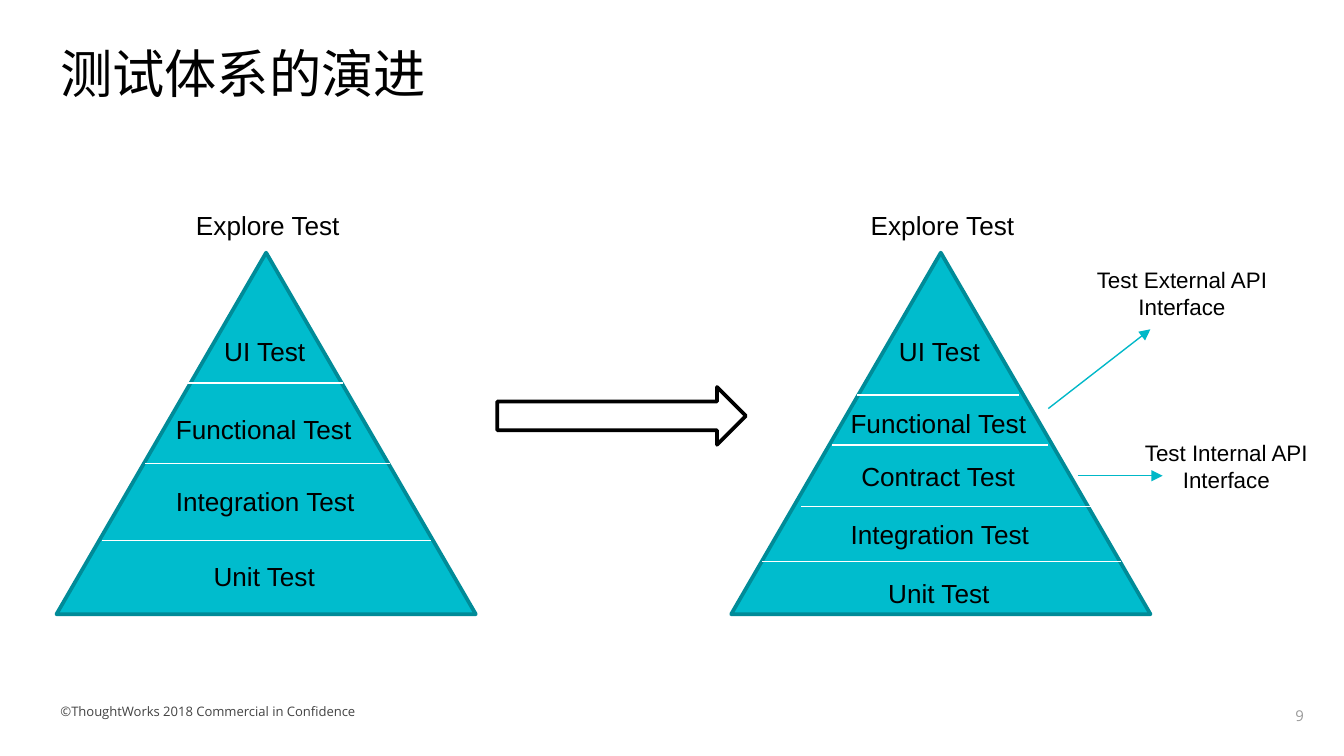
import pptx
import pptx.util
from lxml import etree
from pptx.dml.color import RGBColor
from pptx.enum.shapes import MSO_CONNECTOR, MSO_SHAPE
from pptx.enum.text import MSO_ANCHOR, MSO_AUTO_SIZE, PP_ALIGN
from pptx.oxml.ns import qn
from pptx.util import Inches

BLACK = RGBColor(0x00, 0x00, 0x00)
WHITE = RGBColor(0xFF, 0xFF, 0xFF)
TEAL = RGBColor(0x00, 0xBC, 0xCD)
DARK_TEAL = RGBColor(0x00, 0x8B, 0x98)
ARROW_TEAL = RGBColor(0x00, 0xB8, 0xC8)
GREY = RGBColor(0x99, 0x99, 0x99)
DARK_GREY = RGBColor(0x43, 0x43, 0x43)

# Each test level: offset from the pyramid's left edge, label width
LEVELS = {
    "Explore Test": (0.94, 1.55),
    "UI Test": (1.15, 0.99),
    "Functional Test": (0.79, 1.55),
    "Contract Test": (0.87, 1.38),
    "Integration Test": (0.79, 1.55),
    "Unit Test": (1.07, 0.99),
}


class TestPyramidSlide:
    HEADING_FONT = "Open Sans"
    BODY_FONT = "Arial"

    def __init__(self, deck):
        self.slide = deck.slides.add_slide(deck.slide_layouts[6])

    def text(self, words, left, top, width, height, size=14, font=BODY_FONT,
             color=BLACK, align=PP_ALIGN.LEFT, anchor=MSO_ANCHOR.TOP,
             insets=(0.1, 0.05), fit=MSO_AUTO_SIZE.SHAPE_TO_FIT_TEXT):
        box = self.slide.shapes.add_textbox(
            Inches(left), Inches(top), Inches(width), Inches(height))
        side, end = map(Inches, insets)
        frame_format = {
            "word_wrap": True, "auto_size": fit, "vertical_anchor": anchor,
            "margin_left": side, "margin_right": side,
            "margin_top": end, "margin_bottom": end,
        }
        for name, value in frame_format.items():
            setattr(box.text_frame, name, value)
        paragraph = box.text_frame.paragraphs[0]
        paragraph.alignment = align
        run = paragraph.add_run()
        run.text = words
        for name, value in {"size": pptx.util.Pt(size), "name": font}.items():
            setattr(run.font, name, value)
        run.font.color.rgb = color

    def heading_text(self, words, *place, insets=(0, 0), **style):
        """Text in the heading font, in a box that keeps its size."""
        self.text(words, *place, font=self.HEADING_FONT, insets=insets,
                  fit=MSO_AUTO_SIZE.NONE, **style)

    def shape(self, preset, left, top, width, height, fill, outline):
        figure = self.slide.shapes.add_shape(
            preset, Inches(left), Inches(top), Inches(width), Inches(height))
        figure.shadow.inherit = False
        figure.fill.solid()
        figure.fill.fore_color.rgb = fill
        figure.line.color.rgb = outline
        figure.line.width = pptx.util.Pt(2)

    def line(self, start, end, color=WHITE, arrow=False):
        connector = self.slide.shapes.add_connector(
            MSO_CONNECTOR.STRAIGHT, *map(Inches, (*start, *end)))
        connector.line.color.rgb = color
        connector.line.width = pptx.util.Pt(0.75)
        properties = connector.element.spPr
        if arrow:
            etree.SubElement(properties.find(qn("a:ln")), qn("a:tailEnd"),
                             type="triangle")
        etree.SubElement(properties, qn("a:effectLst"))

    def pyramid(self, left, label_tops, dividers):
        """Dividers are (left, right, height on the slide)."""
        self.shape(MSO_SHAPE.ISOSCELES_TRIANGLE, left, 1.88, 3.12, 2.69,
                   TEAL, DARK_TEAL)
        for level, top in label_tops.items():
            offset, width = LEVELS[level]
            self.text(level, left + offset, top, width, 0.34)
        for x1, x2, y in dividers:
            self.line((x1, y), (x2, y))

    def callout(self, words, left, top, start, end):
        self.line(start, end, ARROW_TEAL, arrow=True)
        self.text(words, left, top, 1.85, 0.5, size=12, align=PP_ALIGN.CENTER)


def main():
    deck = pptx.Presentation()
    deck.slide_width = Inches(10)
    deck.slide_height = deck.slide_width * 9 // 16
    page = TestPyramidSlide(deck)

    page.heading_text("测试体系的演进", 0.45, 0.31, 9.1, 0.67, size=28)
    page.heading_text("9", 9.2, 5.16, 0.6, 0.21, size=8, color=GREY,
                      align=PP_ALIGN.RIGHT, insets=(0.1, 0.1))

    shared_tops = {"Explore Test": 1.51, "UI Test": 2.45}
    page.pyramid(
        0.42,
        {**shared_tops, "Functional Test": 3.03, "Integration Test": 3.56,
         "Unit Test": 4.12},
        [(1.39, 2.55, 2.85), (1.08, 2.9, 3.45), (0.76, 3.21, 4.02)])
    page.pyramid(
        5.44,
        {**shared_tops, "Functional Test": 2.98, "Contract Test": 3.38,
         "Integration Test": 3.81, "Unit Test": 4.25},
        [(6.38, 7.58, 2.94), (6.19, 7.8, 3.31), (5.96, 8.14, 3.77),
         (5.67, 8.34, 4.18)])

    page.callout("Test External API Interface", 7.87, 1.93,
                 (7.8, 3.04), (8.56, 2.45))
    page.callout("Test Internal API Interface", 8.2, 3.22,
                 (8.02, 3.54), (8.65, 3.54))
    page.shape(MSO_SHAPE.RIGHT_ARROW, 3.7, 2.88, 1.85, 0.43, WHITE, BLACK)

    page.heading_text("©ThoughtWorks 2018 Commercial in Confidence",
                      0.45, 5.16, 4.31, 0.19, size=7, color=DARK_GREY,
                      anchor=MSO_ANCHOR.BOTTOM)

    deck.save("out.pptx")


if __name__ == "__main__":
    main()
